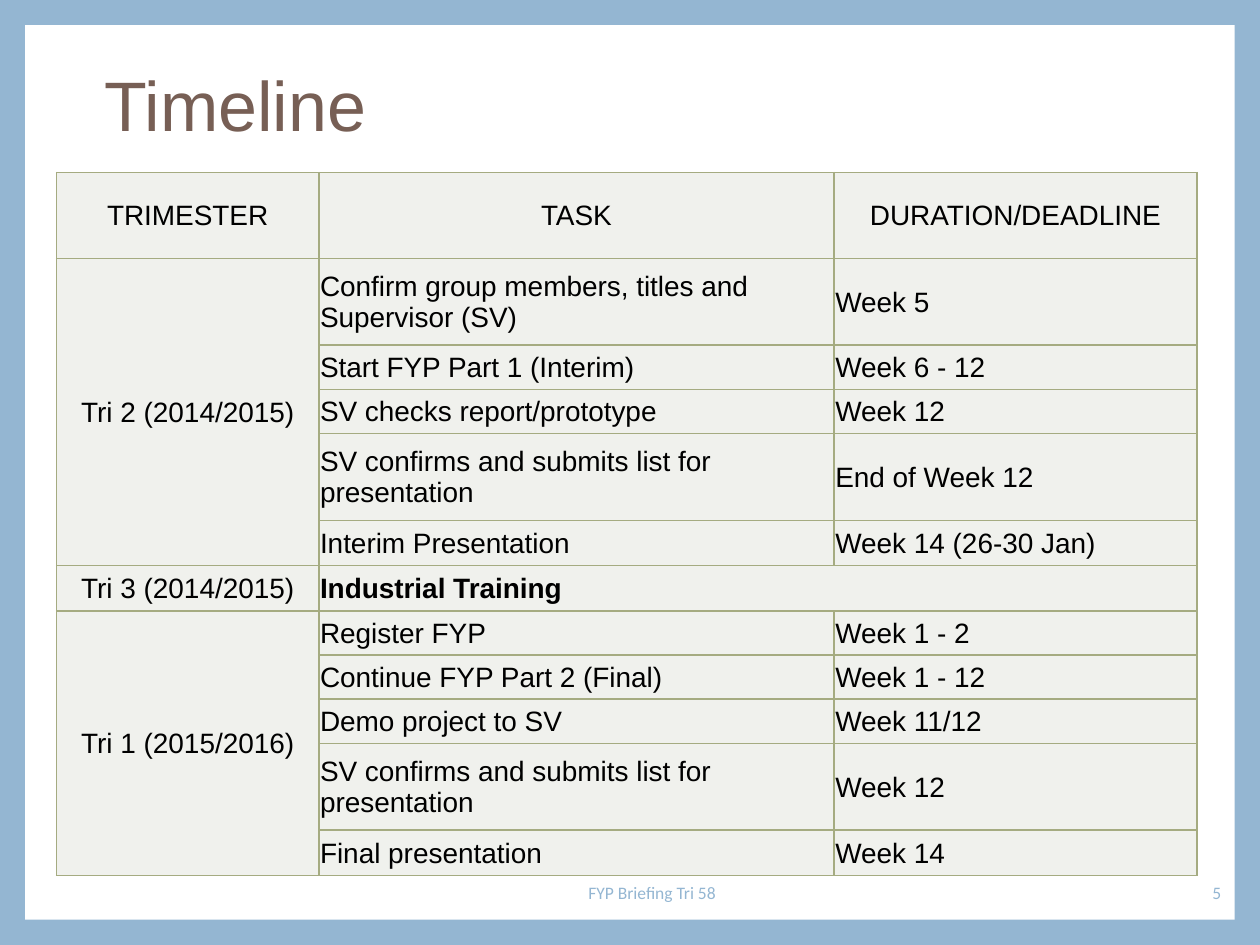
import pptx
import pptx.util
import pptx.dml.color
import pptx.enum.shapes
import pptx.enum.text
import pptx.oxml
import pptx.oxml.ns

Inches = pptx.util.Inches
Pt = pptx.util.Pt
RGBColor = pptx.dml.color.RGBColor
ALIGN = pptx.enum.text.PP_ALIGN
MIDDLE = pptx.enum.text.MSO_ANCHOR.MIDDLE

BLUE = RGBColor(0x94, 0xB6, 0xD2)
WHITE = RGBColor(0xFF, 0xFF, 0xFF)
BROWN = RGBColor(0x77, 0x5F, 0x55)
BLACK = RGBColor(0, 0, 0)
PALE = RGBColor(0xF0, 0xF1, 0xED)
OLIVE = RGBColor(0xA5, 0xAB, 0x81)

HEADS = ["TRIMESTER", "TASK", "DURATION/DEADLINE"]
TERMS = [
    ("Tri 2 (2014/2015)", [
        ("Confirm group members, titles and Supervisor (SV)", "Week 5", 0.69),
        ("Start FYP Part 1 (Interim)", "Week 6 - 12", 0.35),
        ("SV checks report/prototype", "Week 12", 0.35),
        ("SV confirms and submits list for presentation", "End of Week 12", 0.69),
        ("Interim Presentation", "Week 14 (26-30 Jan)", 0.36),
    ]),
    ("Tri 3 (2014/2015)", [("Industrial Training", None, 0.36)]),
    ("Tri 1 (2015/2016)", [
        ("Register FYP", "Week 1 - 2", 0.35),
        ("Continue FYP Part 2 (Final)", "Week 1 - 12", 0.35),
        ("Demo project to SV", "Week 11/12", 0.35),
        ("SV confirms and submits list for presentation", "Week 12", 0.69),
        ("Final presentation", "Week 14", 0.36),
    ]),
]
WIDTHS = [2.08, 4.09, 2.88]
HEAD_HIGH = 0.68


def style(para, face, size, color, align):
    para.font.name = face
    para.font.size = Pt(size)
    para.font.color.rgb = color
    para.alignment = align


def add_panel(slide, box):
    panel = slide.shapes.add_shape(
        pptx.enum.shapes.MSO_SHAPE.RECTANGLE, *map(Inches, box))
    panel.shadow.inherit = False
    panel.fill.solid()
    panel.fill.fore_color.rgb = WHITE
    panel.line.fill.background()
    slide.shapes.title.element.addprevious(panel.element)


def add_title(slide, box, text):
    title = slide.shapes.title
    title.left, title.top, title.width, title.height = map(Inches, box)
    frame = title.text_frame
    frame.text = text
    frame.vertical_anchor = MIDDLE
    para = frame.paragraphs[0]
    style(para, "Arial", 40, BROWN, ALIGN.LEFT)
    para.line_spacing = 0.9


def edge_cell(cell):
    props = cell._tc.get_or_add_tcPr()
    for spot, side in enumerate("LRTB"):
        props.insert(spot, pptx.oxml.parse_xml(
            f'<a:ln{side} {pptx.oxml.ns.nsdecls("a")} w="{Pt(1)}">'
            f'<a:solidFill><a:srgbClr val="{OLIVE}"/></a:solidFill>'
            f'</a:ln{side}>'))


def fill_cell(cell, text, align=ALIGN.LEFT, bold=False):
    cell.text = text
    para = cell.text_frame.paragraphs[0]
    style(para, "Arial", 16, BLACK, align)
    para.font.bold = bold


def add_plan(slide, box):
    highs = [HEAD_HIGH] + [task[2] for term in TERMS for task in term[1]]
    frame = slide.shapes.add_table(len(highs), len(WIDTHS), *map(Inches, box))
    table = frame.table
    table.first_row = table.horz_banding = False
    for col, width in zip(table.columns, WIDTHS):
        col.width = Inches(width)
    for row, high in zip(table.rows, highs):
        row.height = Inches(high)
    for cell in table.iter_cells():
        cell.margin_left = cell.margin_right = cell.margin_top = Inches(0.01)
        cell.margin_bottom = 0
        cell.vertical_anchor = MIDDLE
        cell.fill.solid()
        cell.fill.fore_color.rgb = PALE
        edge_cell(cell)

    for col, head in enumerate(HEADS):
        fill_cell(table.cell(0, col), head, ALIGN.CENTER)
    row = 1
    for term, tasks in TERMS:
        first = table.cell(row, 0)
        if len(tasks) > 1:
            first.merge(table.cell(row + len(tasks) - 1, 0))
        fill_cell(first, term, ALIGN.CENTER)
        for task, week, _ in tasks:
            cell = table.cell(row, 1)
            if week is None:
                cell.merge(table.cell(row, 2))
            else:
                fill_cell(table.cell(row, 2), week)
            fill_cell(cell, task, bold=week is None)
            row += 1


def add_note(slide, box, text, align):
    frame = slide.shapes.add_textbox(*map(Inches, box)).text_frame
    frame.word_wrap = True
    frame.vertical_anchor = MIDDLE
    frame.text = text
    style(frame.paragraphs[0], "Calibri", 10, BLUE, align)


def main():
    deck = pptx.Presentation()
    deck.slide_width, deck.slide_height = Inches(10), Inches(7.5)
    slide = deck.slides.add_slide(deck.slide_layouts[5])
    back = slide.background.fill
    back.solid()
    back.fore_color.rgb = BLUE
    add_panel(slide, (0.2, 0.2, 9.6, 7.1))
    add_title(slide, (0.73, 0.23, 8.1, 1.26), "Timeline")
    add_plan(slide, (0.45, 1.37, 9.05, 5.58))
    add_note(slide, (3.24, 6.88, 3.87, 0.4), "FYP Briefing Tri 58", ALIGN.CENTER)
    add_note(slide, (8.39, 6.88, 1.4, 0.4), "5", ALIGN.RIGHT)
    deck.save("out.pptx")


if __name__ == "__main__":
    main()
